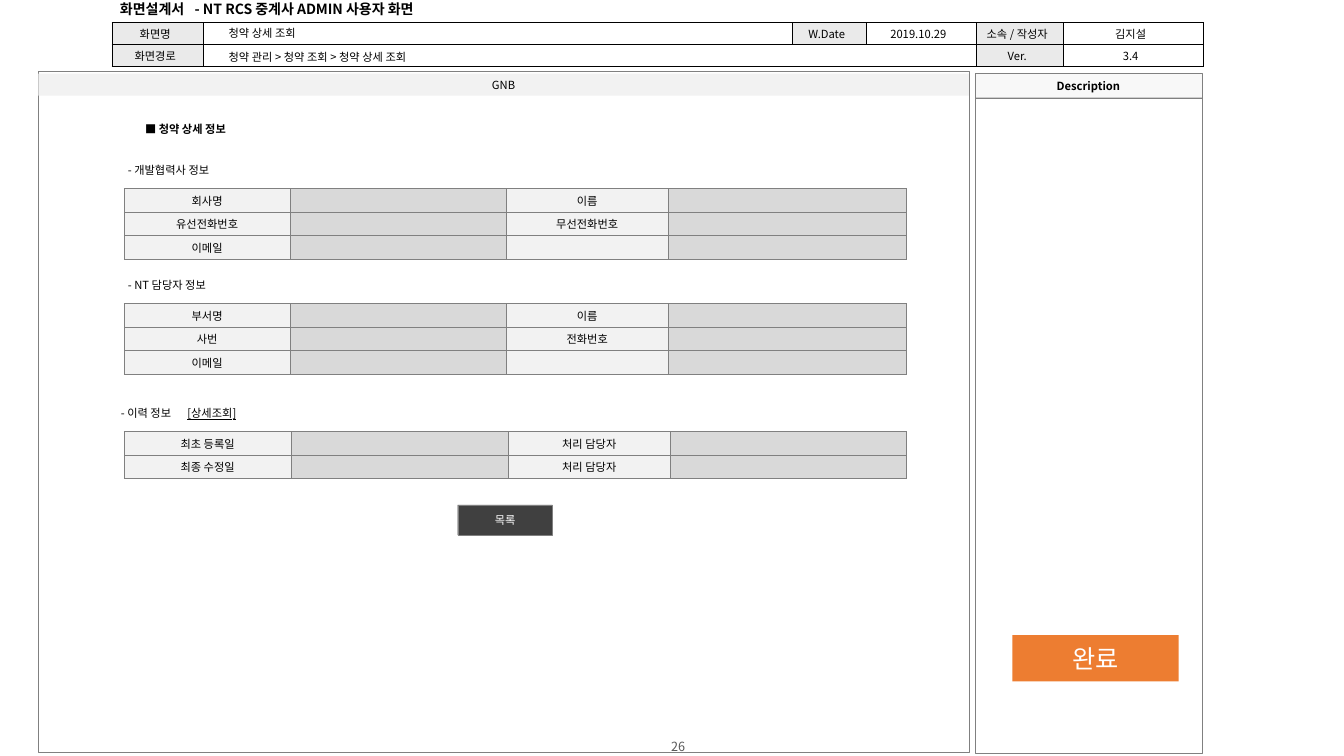
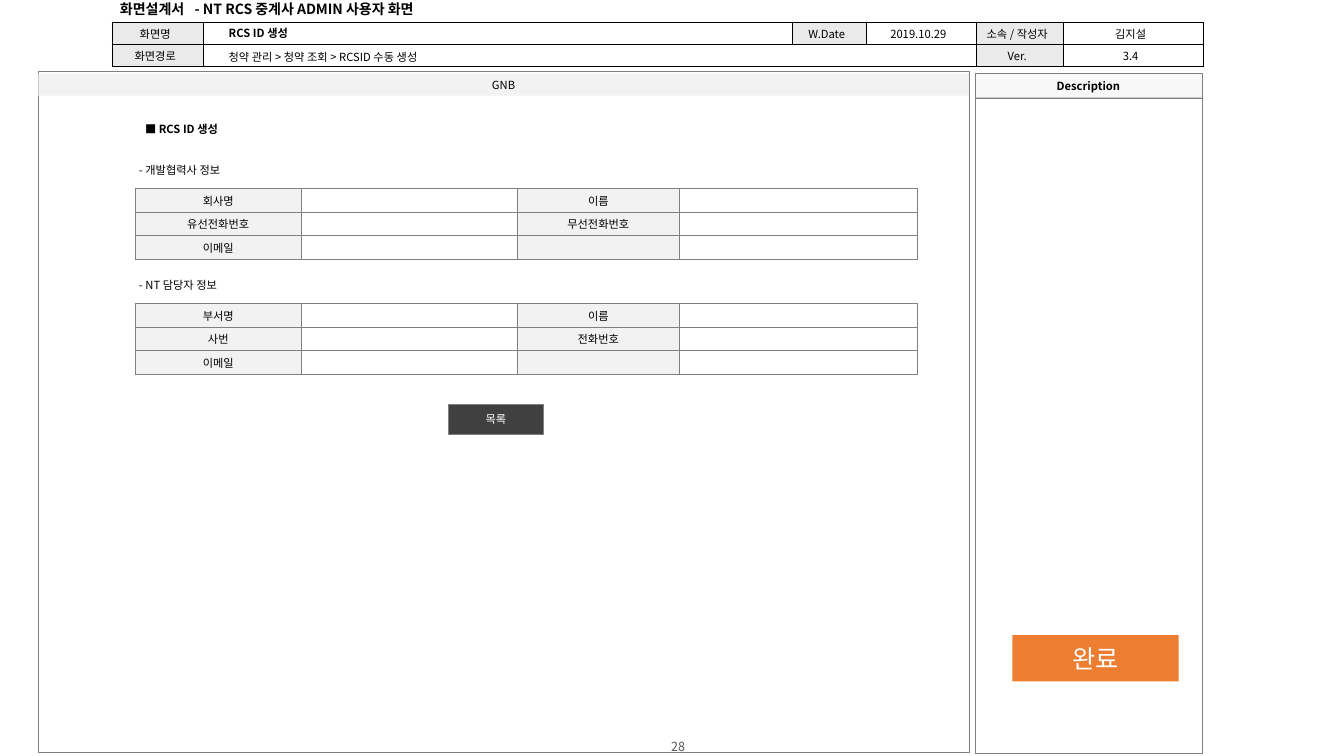
from pptx import Presentation
from pptx.dml.color import RGBColor
from pptx.enum.shapes import MSO_SHAPE as SHAPE
from pptx.enum.text import MSO_ANCHOR as ANCHOR, PP_ALIGN as ALIGN
from pptx.oxml.ns import qn
from pptx.util import Inches, Pt
from lxml.etree import SubElement

FONT = "Noto Sans CJK KR"
COLORS = {
    "text": "000000",
    "white": "FFFFFF",
    "number": "595959",
    "line": "808080",
    "head": "EAEAEA",
    "label": "F2F2F2",
    "locked": "D9D9D9",
    "description": "F8F8F8",
    "button": "404040",
    "done": "ED7D31",
}
FORM_COLS = [1.65, 2.14, 1.61, 2.36]
HISTORY_COLS = [1.66, 2.15, 1.61, 2.34]
ROW_H = 0.7 / 3
PARTNER = ("- 개발협력사 정보", None, 1.16, FORM_COLS,
           [("회사명", "이름"), ("유선전화번호", "무선전화번호"), ("이메일", "")])
MANAGER = ("- NT 담당자 정보", None, 2.3, FORM_COLS,
           [("부서명", "이름"), ("사번", "전화번호"), ("이메일", "")])
HISTORY = ("- 이력 정보", "[상세조회]", 3.57, HISTORY_COLS,
           [("최초 등록일", "처리 담당자"), ("최종 수정일", "처리 담당자")])
SCREENS = [
    {"number": "26", "name": "청약 상세 조회", "name_bold": False,
     "route": "청약 관리 > 청약 조회 > 청약 상세 조회",
     "heading": "■ 청약 상세 정보", "form_x": 0.85, "value": "locked",
     "sections": [PARTNER, MANAGER, HISTORY], "button": (4.16, 4.3)},
    {"number": "28", "name": "RCS ID 생성", "name_bold": True,
     "route": "청약 관리 > 청약 조회 > RCSID 수동 생성",
     "heading": "■ RCS ID 생성", "form_x": 0.96, "value": "white",
     "sections": [PARTNER, MANAGER], "button": (4.07, 3.3)},
]


def rgb(name):
    return RGBColor.from_string(COLORS[name])


def add_run(p, text, size=8, color="text", bold=False, underline=False):
    r = p.add_run()
    r.text = text
    r.font.size = Pt(size)
    r.font.bold = bold
    r.font.underline = underline
    r.font.color.rgb = rgb(color)
    r.font.name = FONT
    SubElement(r.font._element, qn("a:ea"), typeface=FONT)


def add_tab_stop(p, position):
    tabs = SubElement(p._p.get_or_add_pPr(), qn("a:tabLst"))
    SubElement(tabs, qn("a:tab"), pos=str(Inches(position)), algn="l")


def set_frame(tf, side=0.1, wrap=True):
    tf.word_wrap = wrap
    tf.vertical_anchor = ANCHOR.MIDDLE
    tf.margin_left = tf.margin_right = Inches(side)
    tf.margin_top = tf.margin_bottom = 0
    return tf.paragraphs[0]


def add_text(slide, x, y, w, h, text, align=ALIGN.LEFT, **style):
    box = slide.shapes.add_textbox(Inches(x), Inches(y), Inches(w), Inches(h))
    p = set_frame(box.text_frame)
    p.alignment = align
    add_run(p, text, **style)
    return p


def add_box(slide, x, y, w, h, fill=None, line=None, text="", **style):
    sp = slide.shapes.add_shape(SHAPE.RECTANGLE, Inches(x), Inches(y), Inches(w), Inches(h))
    sp.shadow.inherit = False
    if fill:
        sp.fill.solid()
        sp.fill.fore_color.rgb = rgb(fill)
    else:
        sp.fill.background()
    if line:
        sp.line.color.rgb = rgb(line)
        sp.line.width = Pt(0.25)
    else:
        sp.line.fill.background()
    if text:
        p = set_frame(sp.text_frame)
        p.alignment = ALIGN.CENTER
        add_run(p, text, **style)


def format_cell(cell, text, fill, border, right):
    tc_pr = cell._tc.get_or_add_tcPr()
    for side in ("a:lnL", "a:lnR", "a:lnT", "a:lnB"):
        ln = SubElement(tc_pr, qn(side), w=str(Pt(0.25)))
        SubElement(SubElement(ln, qn("a:solidFill")), qn("a:srgbClr"), val=COLORS[border])
    cell.fill.solid()
    cell.fill.fore_color.rgb = rgb(fill)
    cell.vertical_anchor = ANCHOR.MIDDLE
    cell.margin_left, cell.margin_right = Inches(0.04), Inches(right)
    cell.margin_top = cell.margin_bottom = Inches(0.02)
    p = cell.text_frame.paragraphs[0]
    p.alignment = ALIGN.CENTER
    if text:
        add_run(p, text)
    else:
        SubElement(p._p, qn("a:endParaRPr"), sz="800")


def add_grid(slide, x, y, cols, row_h, rows, fills, border, right=0.04):
    frame = slide.shapes.add_table(len(rows), len(cols), Inches(x), Inches(y),
                                   Inches(sum(cols)), Inches(row_h * len(rows)))
    table = frame.table
    table.first_row = table.horz_banding = False
    for column, width in zip(table.columns, cols):
        column.width = Inches(width)
    for i, row in enumerate(rows):
        table.rows[i].height = Inches(row_h)
        for j, text in enumerate(row):
            format_cell(table.cell(i, j), text, fills[j], border, right)
    return table


def add_title(slide, x, y, w, h):
    title = slide.shapes.title
    title.left, title.top, title.width, title.height = map(Inches, (x, y, w, h))
    p = set_frame(title.text_frame, side=0.09, wrap=False)
    p.alignment = ALIGN.LEFT
    add_tab_stop(p, 0.74)
    add_run(p, "화면설계서\t- NT RCS 중계사 ADMIN 사용자 화면", size=10, bold=True)


def add_header(slide, x, y, screen):
    rows = [("화면명", "", "W.Date", "2019.10.29", "소속 / 작성자", "김지설"),
            ("화면경로", "", "", "", "Ver.", "3.4")]
    table = add_grid(slide, x, y, [0.91, 5.84, 0.73, 1.09, 0.87, 1.38], 0.22, rows,
                     ["head", "white"] * 3, "text", right=0.09)
    table.cell(1, 1).merge(table.cell(1, 3))
    add_text(slide, x + 1.06, y - 0.01, 3.14, 0.24, screen["name"], bold=screen["name_bold"])
    add_text(slide, x + 1.06, y + 0.23, 3.14, 0.24, screen["route"])


def add_description(slide, x, y, w, h):
    add_box(slide, x, y + 0.23, w, h - 0.23, line="line")
    add_box(slide, x, y, w, 0.24, "description", "line", "Description", bold=True)
    add_box(slide, x + 0.37, y + 5.57, 1.65, 0.46, "done", text="완료", size=18, color="white")


def add_section(slide, x, y, section, value):
    caption, link, offset, cols, labels = section
    indent = 0.13 if link else 0.06
    p = add_text(slide, x - indent, y + offset - 0.3, 1.42, 0.24, caption)
    if link:
        add_tab_stop(p, 0.66)
        add_run(p, "\t")
        add_run(p, link, underline=True)
    rows = [(left, "", right, "") for left, right in labels]
    add_grid(slide, x, y + offset, cols, ROW_H, rows, ["label", value] * 2, "line")


def add_screen_area(slide, x, y, w, h, screen):
    add_box(slide, x, y, w, h, line="line")
    add_box(slide, x, y + 0.02, w, 0.22, "label", text="GNB")
    add_text(slide, x + 0.96, y + 0.45, 1.3, 0.24, screen["heading"], bold=True)
    for section in screen["sections"]:
        add_section(slide, x + screen["form_x"], y, section, screen["value"])
    button_x, button_y = screen["button"]
    add_box(slide, x + button_x, y + button_y, 0.94, 0.3, "button", "line", "목록", color="white")


def add_screen_slide(prs, screen):
    slide = prs.slides.add_slide(prs.slide_layouts[5])
    add_title(slide, 1.1, -0.04, 3.47, 0.26)
    add_text(slide, 5.17, 7.34, 3.11, 0.13, screen["number"], ALIGN.CENTER,
             size=9, color="number")
    add_header(slide, 1.11, 0.22, screen)
    add_description(slide, 9.67, 0.73, 2.25, 6.74)
    add_screen_area(slide, 0.38, 0.71, 9.23, 6.75, screen)


def main():
    prs = Presentation()
    prs.slide_width, prs.slide_height = Inches(13.33), Inches(7.5)
    for screen in SCREENS:
        add_screen_slide(prs, screen)
    prs.save("out.pptx")


if __name__ == "__main__":
    main()
